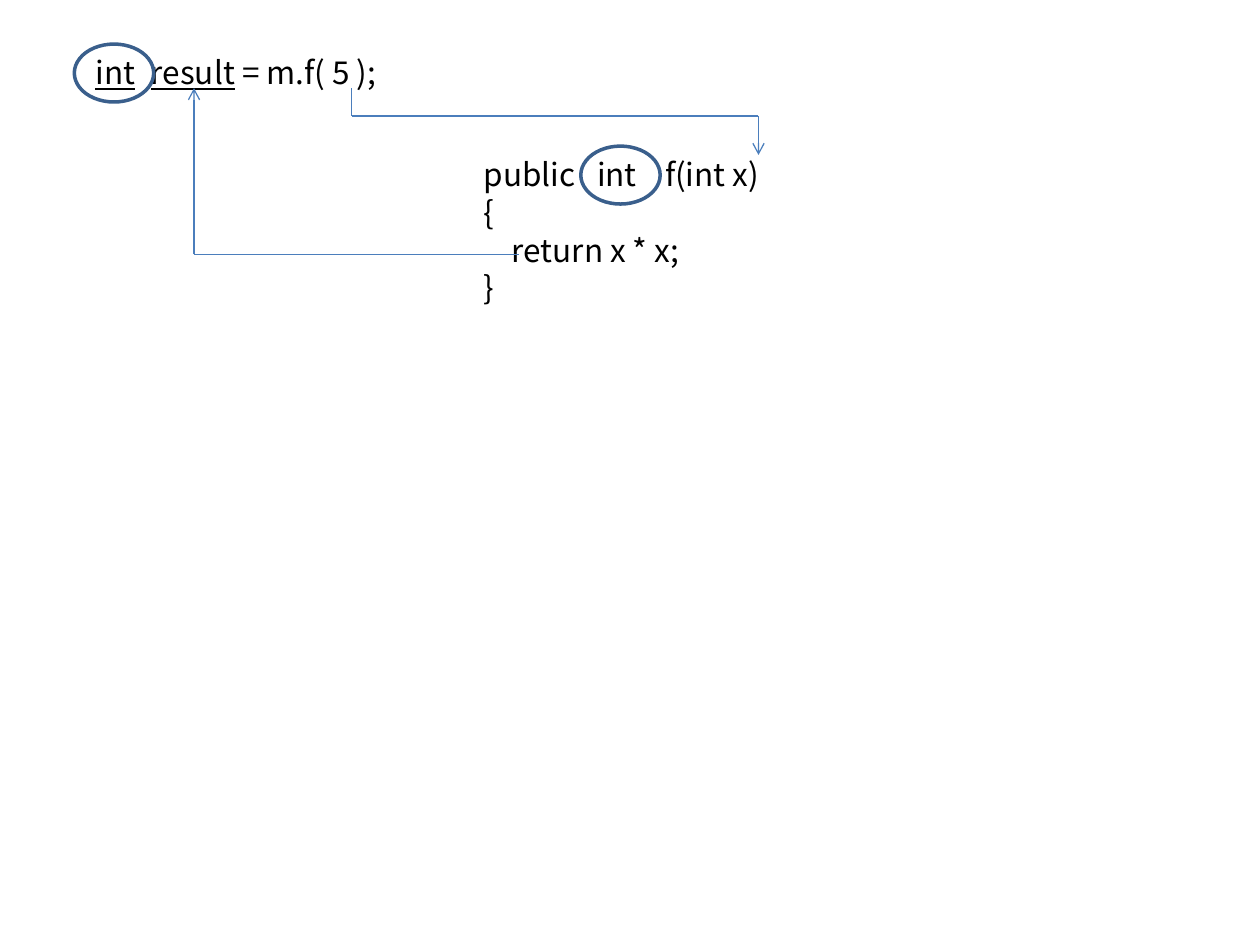
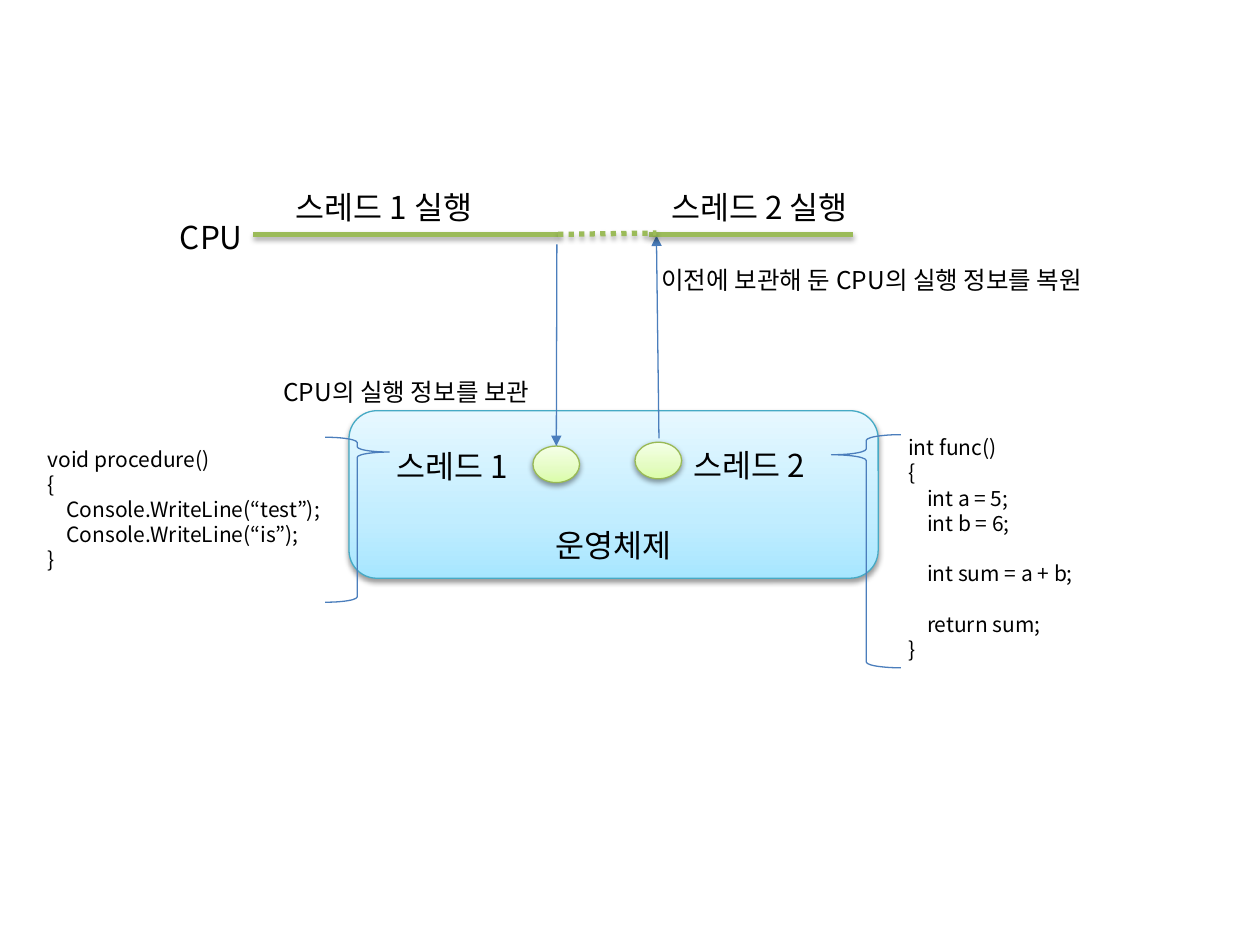
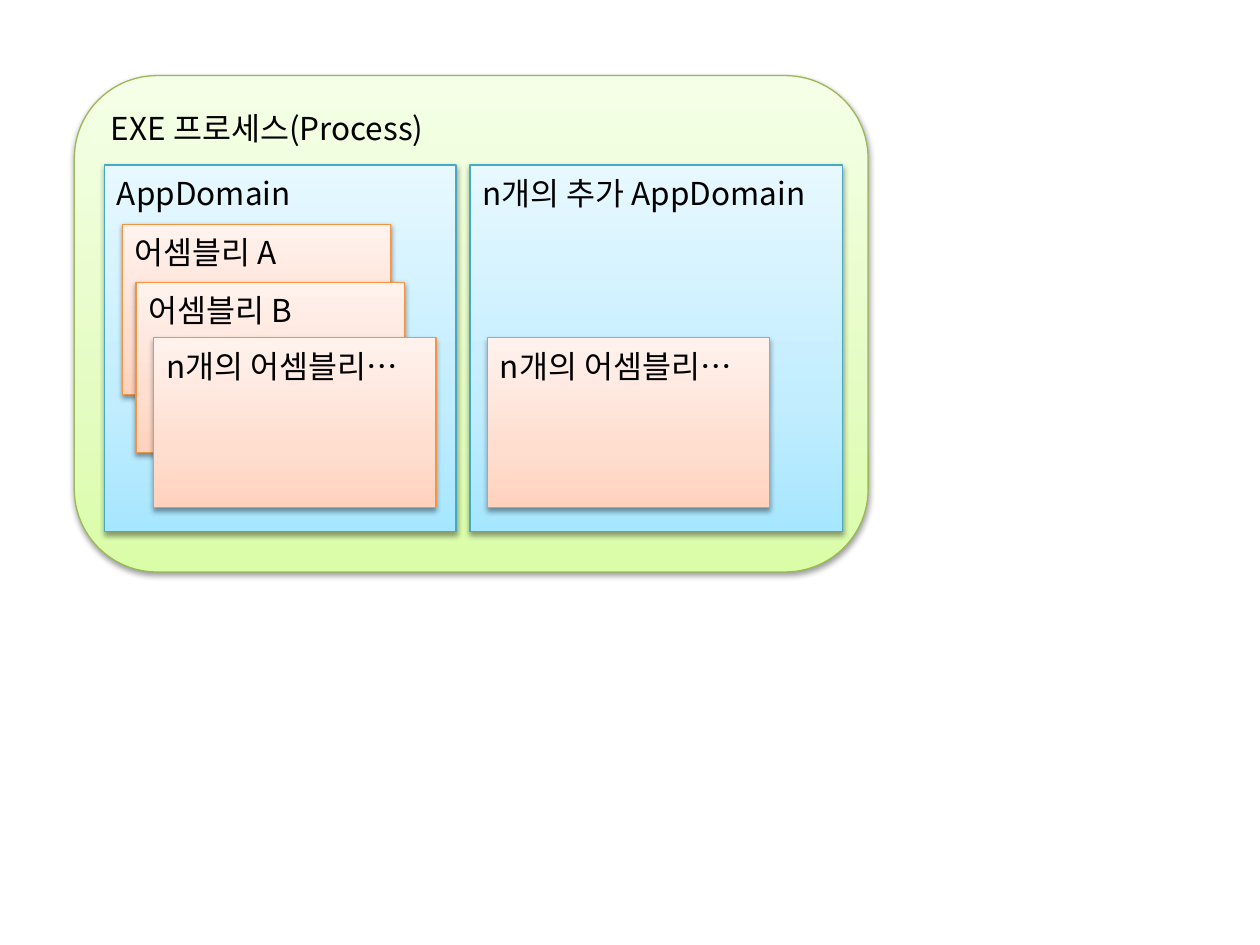
from dataclasses import dataclass
from copy import deepcopy
from typing import Any

from pptx import Presentation
from pptx import util as u
from pptx.dml import color
from pptx.enum import dml, shapes, text
from pptx.oxml import ns, parse_xml

FONT = "Noto Sans CJK KR"
BLACK, BLUE, CIRCLE_BLUE, TIMELINE_GREEN = "000000", "4B7EBC", "3A5F8C", "9BBB59"
SHAPE = shapes.MSO_SHAPE
LINE_HEIGHT = 1.2

# Gradient stops from bottom to top, then the outline colour
STOPS = (0, 0.35, 1)
THEMES = {
    "blue": (("A7E6FF", "C1EDFF", "E7F8FF"), "46AAC5"),
    "green": (("DAFDA7", "E4FCC2", "F5FFE7"), "98B955"),
    "orange": (("FFD2BD", "FFDED0", "FFF2ED"), "F69240"),
}
FRAME_FORMAT = {"word_wrap": True, "margin_top": u.Inches(0.07),
                "vertical_anchor": text.MSO_ANCHOR.TOP}


def rgb(value):
    return color.RGBColor.from_string(value)


def apply(target, values):
    for name, value in values.items():
        setattr(target, name, value)


def set_line(line, line_color, width):
    line.color.rgb = rgb(line_color)
    line.width = u.Pt(width)


def set_effects(item, alpha=None, distance=1.6):
    """Give the item a soft lower shadow, or none when alpha is missing."""
    shadow = "" if alpha is None else (
        f'<a:outerShdw blurRad="{u.Pt(3.1)}" dist="{u.Pt(distance)}" dir="5400000" '
        f'rotWithShape="0"><a:srgbClr val="{BLACK}"><a:alpha val="{alpha * 1000}"/>'
        '</a:srgbClr></a:outerShdw>')
    item._element.spPr.append(
        parse_xml(f'<a:effectLst {ns.nsdecls("a")}>{shadow}</a:effectLst>'))


def set_gradient(fill, shape, colors):
    fill.gradient()
    fill.gradient_angle = 90
    stop_list = shape._element.spPr.find(".//" + ns.qn("a:gsLst"))
    stop_list.append(deepcopy(stop_list[-1]))
    for stop, position, stop_color in zip(fill.gradient_stops, STOPS, colors):
        stop.position = position
        stop.color.rgb = rgb(stop_color)


def add_run(paragraph, words, size, underline=False):
    run = paragraph.add_run()
    run.text = words
    apply(run.font, {"name": FONT, "size": u.Pt(size), "underline": underline})
    run.font.color.rgb = rgb(BLACK)
    run._r.get_or_add_rPr().append(
        parse_xml(f'<a:ea {ns.nsdecls("a")} typeface="{FONT}"/>'))


def set_tabs(paragraph, stops):
    tabs = "".join(f'<a:tab pos="{u.Inches(stop)}" algn="l"/>' for stop in stops)
    paragraph._p.get_or_add_pPr().append(
        parse_xml(f'<a:tabLst {ns.nsdecls("a")}>{tabs}</a:tabLst>'))


def write(frame, lines, size, align=text.PP_ALIGN.LEFT, tabs=(), **frame_format):
    """Write lines of (words, underline) runs; an empty line becomes spacing."""
    apply(frame, {**FRAME_FORMAT, **frame_format})
    height = u.Pt(size * LINE_HEIGHT)
    paragraph, gap = frame.paragraphs[0], 0
    for index, line in enumerate(lines):
        if not line:
            gap += height
            continue
        if index:
            paragraph = frame.add_paragraph()
        apply(paragraph, {"alignment": align, "line_spacing": height, "space_before": gap})
        if index == 0 and tabs:
            set_tabs(paragraph, tabs)
        for words, underline in [(line, False)] if isinstance(line, str) else line:
            add_run(paragraph, words, size, underline)
        gap = 0


@dataclass
class Area:
    """A region of a slide; its parts are placed in inches from its corner."""
    slide: Any
    left: float
    top: float

    def point(self, x, y):
        return u.Inches(self.left + x), u.Inches(self.top + y)

    def label(self, x, y, width, height, lines, size=18, **options):
        box = self.slide.shapes.add_textbox(
            *self.point(x, y), u.Inches(width), u.Inches(height))
        write(box.text_frame, lines, size, **options)

    def outline(self, kind, x, y, width, height, line_color, line_width, adjustments=()):
        shape = self.slide.shapes.add_shape(
            kind, *self.point(x, y), u.Inches(width), u.Inches(height))
        shape.shadow.inherit = False
        shape.fill.background()
        set_line(shape.line, line_color, line_width)
        for index, value in enumerate(adjustments):
            shape.adjustments[index] = value
        return shape

    def panel(self, kind, x, y, width, height, theme, words=None, **options):
        colors, line_color = THEMES[theme]
        shape = self.outline(kind, x, y, width, height, line_color, 0.75)
        set_gradient(shape.fill, shape, colors)
        shape._element.spPr.remove(shape._element.spPr.find(ns.qn("a:effectLst")))
        set_effects(shape, 38)
        if words:
            write(shape.text_frame, [words], 18, **options)
        return shape

    def line(self, start, end, arrow=None, line_color=BLUE, width=0.75, dash=None,
             shadow=None):
        connector = self.slide.shapes.add_connector(
            shapes.MSO_CONNECTOR.STRAIGHT, *self.point(*start), *self.point(*end))
        set_line(connector.line, line_color, width)
        if dash:
            connector.line.dash_style = dash
        if arrow:
            connector.line._get_or_add_ln().append(
                parse_xml(f'<a:tailEnd {ns.nsdecls("a")} type="{arrow}"/>'))
        set_effects(connector, shadow, 1.8)
        return connector


# Slide 1: a method call and the method it reaches
def method_call(area):
    area.label(0.07, 0, 3.87, 0.4, tabs=[0.44], lines=[
        [("int", True), ("\t", False), ("result", True), (" = m.f( 5 );", False)]])
    area.label(3.15, 0.81, 3.87, 1.31, tabs=[0.9, 1.44], lines=[
        "public\tint\tf(int x)", "{", "    return x * x;", "}"])

    # Return value goes back to the result
    area.line((3.53, 1.67), (0.95, 1.67))
    area.line((0.95, 1.67), (0.95, 0.35), "arrow")

    # Argument goes to the parameter
    area.line((2.2, 0.35), (2.2, 0.57))
    area.line((2.2, 0.57), (5.43, 0.57))
    area.line((5.43, 0.57), (5.43, 0.88), "arrow")

    # Matching types
    for x, y in [(0, 0), (4.02, 0.81)]:
        area.outline(SHAPE.OVAL, x, y, 0.63, 0.46, CIRCLE_BLUE, 2)


# Slide 2: switching the processor between two threads
def cpu_timeline(area):
    area.label(0, 0.24, 0.83, 0.4, ["CPU"])
    for start, end, dash in [
        ((0.68, 0.44), (3.1, 0.44), None),
        ((3.82, 0.44), (5.44, 0.44), None),
        ((3.1, 0.44), (3.88, 0.43), dml.MSO_LINE.ROUND_DOT),
    ]:
        area.line(start, end, line_color=TIMELINE_GREEN, width=3, dash=dash, shadow=35)
    for number, x in enumerate((0.92, 3.9), 1):
        area.label(x, 0, 2.72, 0.4, [f"스레드 {number} 실행"])
    area.label(3.82, 0.61, 4.99, 0.34, ["이전에 보관해 둔 CPU의 실행 정보를 복원"], 14)


def operating_system(area):
    area.panel(SHAPE.ROUNDED_RECTANGLE, 0, 0, 4.2, 1.33, "blue", "운영체제",
               align=text.PP_ALIGN.CENTER, vertical_anchor=text.MSO_ANCHOR.BOTTOM)
    area.label(-0.62, -0.34, 4.17, 0.34, ["CPU의 실행 정보를 보관"], 14)

    # Threads
    for number, x, y in [(1, 0.28, 0.22), (2, 2.64, 0.21)]:
        area.label(x, y, 2.36, 0.4, [f"스레드 {number}"])
    first, _ = [area.panel(SHAPE.OVAL, x, y, 0.37, 0.29, "green")
                for x, y in [(1.46, 0.28), (2.27, 0.25)]]

    # Saving and restoring
    save = area.line((1.65, -1.32), (1.65, 0.28), "triangle")
    save.end_connect(first, 0)
    area.line((2.46, 0.22), (2.44, -1.39), "triangle")


def thread_code(area, height, lines, brace, brace_box, tip):
    area.outline(brace, *brace_box, BLUE, 0.75, (0.083, tip))
    area.label(0, 0, 2.72, height, lines, 12)


# Slide 3: a process with its application domains and assemblies
def process_domains(area):
    area.panel(SHAPE.ROUNDED_RECTANGLE, 0, 0, 6.3, 3.94, "green", "EXE 프로세스(Process)")
    for x, width, words in [(3.14, 2.96, "n개의 추가 AppDomain"), (0.24, 2.79, "AppDomain")]:
        area.panel(SHAPE.RECTANGLE, x, 0.71, width, 2.91, "blue", words)
    for x, y, width, words in [
        (0.38, 1.18, 2.13, "어셈블리 A"),
        (0.49, 1.64, 2.13, "어셈블리 B"),
        (0.63, 2.08, 2.24, "n개의 어셈블리…"),
        (3.28, 2.08, 2.24, "n개의 어셈블리…"),
    ]:
        area.panel(SHAPE.RECTANGLE, x, y, width, 1.35, "orange", words)


def main():
    presentation = Presentation()
    apply(presentation, {"slide_width": u.Inches(10), "slide_height": u.Inches(7.5)})
    call_slide, thread_slide, process_slide = [
        presentation.slides.add_slide(presentation.slide_layouts[6]) for _ in range(3)]

    method_call(Area(call_slide, 0.59, 0.35))

    operating_system(Area(thread_slide, 2.77, 3.26))
    cpu_timeline(Area(thread_slide, 1.33, 1.42))
    thread_code(
        Area(thread_slide, 7.11, 3.38), 1.92,
        ["int func()", "{", "    int a = 5;", "    int b = 6;", "",
         "    int sum = a + b;", "", "    return sum;", "}"],
        SHAPE.LEFT_BRACE, (-0.51, 0.07, 0.55, 1.85), 0.086)
    thread_code(
        Area(thread_slide, 0.28, 3.47), 1.11,
        ["void procedure()", "{", "    Console.WriteLine(“test”);",
         "    Console.WriteLine(“is”);", "}"],
        SHAPE.RIGHT_BRACE, (2.3, 0, 0.51, 1.31), 0.09)

    process_domains(Area(process_slide, 0.59, 0.6))
    presentation.save("out.pptx")


if __name__ == "__main__":
    main()
